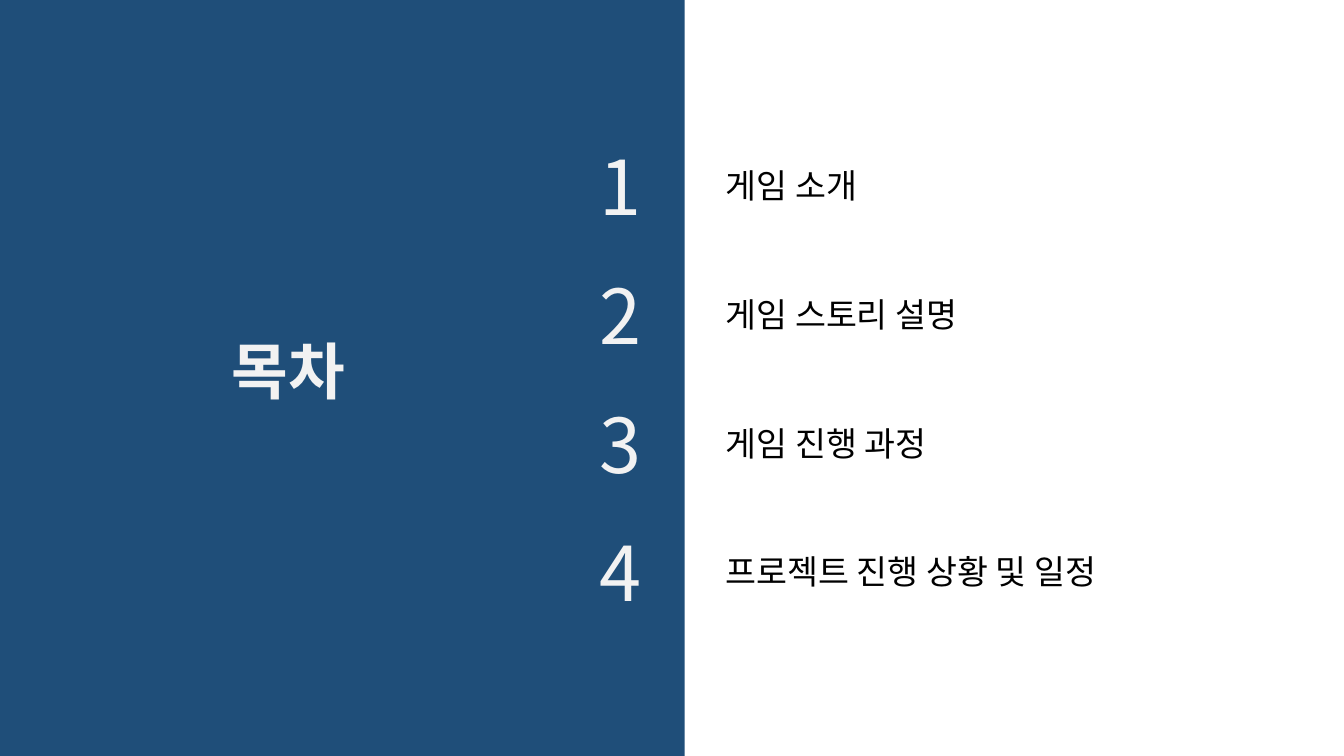
"""Build the contents slide: a dark title panel and four numbered topics."""
import pptx
import pptx.dml.color
import pptx.enum.shapes
import pptx.enum.text
import pptx.oxml
import pptx.oxml.ns
import pptx.util

TITLE = "목차"
TOPICS = [
    ("게임 소개", 1.55),
    ("게임 스토리 설명", 2.5),
    ("게임 진행 과정", 2.2),
    ("프로젝트 진행 상황 및 일정", 3.9),
]
COLORS = {"panel": "1F4E79", "light": "F2F2F2", "dark": "000000"}
FONT = "Noto Sans CJK KR"
TOP, STEP = 1.34, 1.277

Inches = pptx.util.Inches


def color(name):
    return pptx.dml.color.RGBColor.from_string(COLORS[name])


def paint(shape):
    shape.fill.solid()
    shape.fill.fore_color.rgb = color("panel")
    shape.line.fill.background()


def block(slide, left, top, width, height):
    kind = pptx.enum.shapes.MSO_SHAPE.RECTANGLE
    shape = slide.shapes.add_shape(
        kind, Inches(left), Inches(top), Inches(width), Inches(height))
    shape.shadow.inherit = False
    paint(shape)
    return shape


def write(shape, text, size, tone, wrap=False, bold=False):
    frame = shape.text_frame
    frame.word_wrap = wrap
    frame.auto_size = pptx.enum.text.MSO_AUTO_SIZE.NONE
    frame.vertical_anchor = pptx.enum.text.MSO_ANCHOR.TOP
    para = frame.paragraphs[0]
    para.alignment = pptx.enum.text.PP_ALIGN.LEFT
    para.line_spacing = 1.0
    run = para.add_run()
    run.text = text
    font = run.font
    font.name, font.size, font.bold = FONT, pptx.util.Pt(size), bold
    font.color.rgb = color(tone)
    asian = pptx.oxml.parse_xml(
        f'<a:ea {pptx.oxml.ns.nsdecls("a")} typeface="{FONT}"/>')
    run._r.get_or_add_rPr().find(pptx.oxml.ns.qn("a:latin")).addnext(asian)


def main():
    deck = pptx.Presentation()
    deck.slide_width, deck.slide_height = Inches(13.33), Inches(7.5)
    slide = deck.slides.add_slide(deck.slide_layouts[5])

    title = slide.shapes.title
    panel = block(slide, 0, 0, 6.79, 7.5)
    title._element.addprevious(panel._element)
    title.left, title.top = Inches(2.2), Inches(3.25)
    title.width, title.height = Inches(1.37), Inches(0.84)
    paint(title)
    write(title, TITLE, 44, "light", bold=True)

    for index, (topic, width) in enumerate(TOPICS):
        top = TOP + index * STEP
        number = block(slide, 5.85, top, 0.6, 1.01)
        write(number, str(index + 1), 54, "light")
        label = slide.shapes.add_textbox(
            Inches(7.1), Inches(top + 0.25), Inches(width), Inches(0.5))
        write(label, topic, 24, "dark", wrap=True)

    deck.save("out.pptx")


if __name__ == "__main__":
    main()
